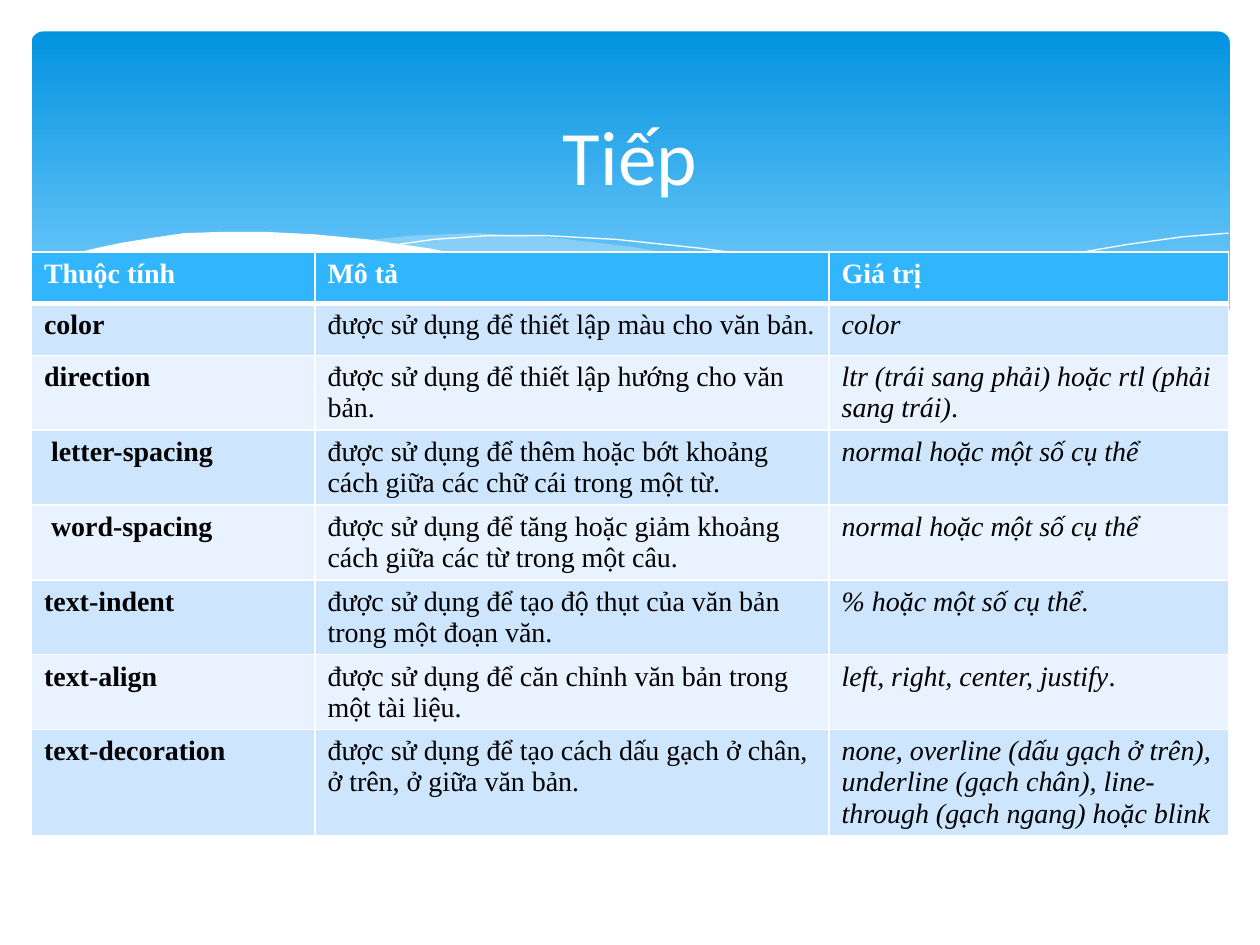
from dataclasses import dataclass

from lxml import etree
from pptx import Presentation
from pptx.dml.color import RGBColor
from pptx.enum.shapes import MSO_SHAPE
from pptx.enum.text import MSO_ANCHOR, PP_ALIGN
from pptx.oxml.ns import qn
from pptx.util import Inches, Pt

ROUNDED = MSO_SHAPE.ROUNDED_RECTANGLE
MIDDLE = MSO_ANCHOR.MIDDLE
CENTER = PP_ALIGN.CENTER


@dataclass(frozen=True)
class Theme:
    white: str = "FFFFFF"
    black: str = "000000"
    banner_top: str = "0293E0"
    banner_bottom: str = "83D3FE"
    wave: str = "C6E7FC"
    header: str = "31B6FD"
    bands: tuple = ("CEE5FE", "E8F3FF")
    title_font: str = "Calibri"
    table_font: str = "Times New Roman"
    title_size: int = 44
    table_size: int = 16


THEME = Theme()

RIGHT_WAVE = [
    (9.52, 0.16), (9.12, 0.23), (8.38, 0.39), (7.56, 0.58), (6.38, 0.81), (6.96, 0.88),
    (7.58, 0.93), (8.21, 0.93), (8.74, 0.88), (9.19, 0.75), (9.53, 0.63),
]
MIDDLE_WAVE = [
    (8.7, 0.89), (7.84, 0.76), (6.83, 0.56), (6.06, 0.38), (5.46, 0.24), (4.79, 0.12),
    (4.19, 0.05), (3.57, 0.01), (3.05, 0.03), (2.63, 0.07), (3.19, 0.15), (3.81, 0.27),
    (4.68, 0.48), (5.78, 0.71), (6.57, 0.84), (7.25, 0.92), (7.84, 0.94), (8.34, 0.93),
]
FALLING_LINE = [
    (2.86, 0.11), (3.21, 0.06), (3.64, 0.03), (4.1, 0.03), (4.66, 0.06), (5.33, 0.13),
    (6.13, 0.24), (7.04, 0.42), (7.72, 0.57), (8.46, 0.77), (8.84, 0.88),
]
RISING_LINE = [
    (5.9, 0.73), (6.49, 0.57), (7.25, 0.39), (8.13, 0.2), (8.72, 0.1), (9.15, 0.04), (9.52, 0.01),
]
FRONT_WAVE = [
    (9.54, 0.62), (9.17, 0.75), (8.76, 0.85), (8.27, 0.91), (7.7, 0.93), (7.03, 0.88),
    (6.25, 0.78), (5.56, 0.66), (4.8, 0.49), (4.24, 0.36), (3.68, 0.23), (3.17, 0.13),
    (2.69, 0.06), (2.27, 0.02), (1.88, 0), (1.54, 0), (1.23, 0.01), (0.96, 0.05),
    (0.72, 0.09), (0.53, 0.13), (0.29, 0.19), (0.13, 0.23), (0, 0.29), (0, 1.45), (9.54, 1.45),
]

HEADINGS = ("Thuộc tính", "Mô tả", "Giá trị")
PROPERTIES = [
    ("color", "được sử dụng để thiết lập màu cho văn bản.", "color"),
    ("direction", "được sử dụng để thiết lập hướng cho văn bản.",
     "ltr (trái sang phải) hoặc rtl (phải sang trái)."),
    (" letter-spacing", "được sử dụng để thêm hoặc bớt khoảng cách giữa các chữ cái trong một từ.",
     "normal hoặc một số cụ thể"),
    (" word-spacing", "được sử dụng để tăng hoặc giảm khoảng cách giữa các từ trong một câu.",
     "normal hoặc một số cụ thể"),
    ("text-indent", "được sử dụng để tạo độ thụt của văn bản trong một đoạn văn.",
     "% hoặc một số cụ thể."),
    ("text-align", "được sử dụng để căn chỉnh văn bản trong một tài liệu.",
     "left, right, center, justify."),
    ("text-decoration", "được sử dụng để tạo cách dấu gạch ở chân, ở trên, ở giữa văn bản.",
     "none, overline (dấu gạch ở trên), underline (gạch chân), "
     "line-through (gạch ngang) hoặc blink"),
]


def rgb(color):
    return RGBColor.from_string(color)


def apply(target, values):
    for attribute, value in values.items():
        setattr(target, attribute, value)


def write_run(paragraph, text, color, **font_values):
    run = paragraph.add_run()
    run.text = text
    apply(run.font, font_values)
    run.font.color.rgb = rgb(color)


def add_banner(slide, box):
    banner = slide.shapes.add_shape(ROUNDED, *box)
    banner.adjustments[0] = 0.034
    banner.shadow.inherit = False
    banner.line.fill.background()
    banner.fill.gradient()
    banner.fill.gradient_angle = 270
    stops = ((0, THEME.banner_top), (0.9, THEME.banner_bottom))
    for stop, (position, color) in zip(banner.fill.gradient_stops, stops):
        stop.position = position
        stop.color.rgb = rgb(color)


def add_curve(slide, box, points, closed):
    left, top = box[:2]
    corners = [(left + Inches(x), top + Inches(y)) for x, y in points]
    builder = slide.shapes.build_freeform(*corners[0])
    builder.add_line_segments(corners[1:], close=closed)
    curve = builder.convert_to_shape()
    curve.shadow.inherit = False
    return curve


def add_filled_wave(slide, box, points, color, opacity):
    wave = add_curve(slide, box, points, True)
    wave.line.fill.background()
    wave.fill.solid()
    wave.fill.fore_color.rgb = rgb(color)
    if opacity < 100:
        tint = wave.fill._xPr.find(".//" + qn("a:srgbClr"))
        etree.SubElement(tint, qn("a:alpha"), val=str(opacity * 1000))


def add_waves(slide, box):
    add_filled_wave(slide, box, RIGHT_WAVE, THEME.wave, 29)
    add_filled_wave(slide, box, MIDDLE_WAVE, THEME.wave, 40)
    for points in (FALLING_LINE, RISING_LINE):
        crest = add_curve(slide, box, points, False)
        crest.fill.background()
        crest.line.color.rgb = rgb(THEME.white)
        crest.line.width = Pt(0)
    add_filled_wave(slide, box, FRONT_WAVE, THEME.white, 100)


def format_cell(cell, fill, top_width, bottom_width):
    properties = cell._tc.get_or_add_tcPr()
    widths = {"lnL": 1, "lnR": 1, "lnT": top_width, "lnB": bottom_width}
    for side, width in widths.items():
        border = etree.SubElement(properties, qn("a:" + side), w=str(Pt(width)))
        paint = etree.SubElement(border, qn("a:solidFill"))
        etree.SubElement(paint, qn("a:srgbClr"), val=THEME.white)
    cell.fill.solid()
    cell.fill.fore_color.rgb = rgb(fill)


def add_property_table(slide, box):
    rows = [HEADINGS, *PROPERTIES]
    table = slide.shapes.add_table(len(rows), len(HEADINGS), *box).table
    for column, width in zip(table.columns, (2.25, 4.08, 3.17)):
        column.width = Inches(width)
    base = {"name": THEME.table_font, "size": Pt(THEME.table_size)}
    for r, texts in enumerate(rows):
        heading = r == 0
        fill = THEME.header if heading else THEME.bands[(r - 1) % 2]
        color = THEME.white if heading else THEME.black
        for c, text in enumerate(texts):
            cell = table.cell(r, c)
            format_cell(cell, fill, 3 if r == 1 else 1, 3 if heading else 1)
            paragraph = cell.text_frame.paragraphs[0]
            is_value = c == 2 and not heading
            body, stop = (text.rstrip("."), text.endswith(".")) if is_value else (text, False)
            write_run(paragraph, body, color, bold=heading or c == 0, italic=is_value, **base)
            if stop:
                write_run(paragraph, ".", color, bold=False, italic=False, **base)


def add_title(slide, box):
    frame = slide.shapes.add_textbox(*box).text_frame
    apply(frame, {"word_wrap": True, "vertical_anchor": MIDDLE})
    paragraph = frame.paragraphs[0]
    paragraph.alignment = CENTER
    write_run(paragraph, "Tiếp", THEME.white, name=THEME.title_font, size=Pt(THEME.title_size))


def inches_box(*lengths):
    return [Inches(length) for length in lengths]


def main():
    deck = Presentation()
    apply(deck, {"slide_width": Inches(10), "slide_height": Inches(7.5)})
    slide = deck.slides.add_slide(deck.slide_layouts[6])
    add_banner(slide, inches_box(0.25, 0.25, 9.51, 2.7))
    add_waves(slide, inches_box(0.23, 1.84, 9.54, 1.45))
    add_property_table(slide, inches_box(0.25, 2, 9.5, 3.28))
    add_title(slide, inches_box(0.5, 0.75, 9, 0.96))
    deck.save("out.pptx")


if __name__ == "__main__":
    main()
